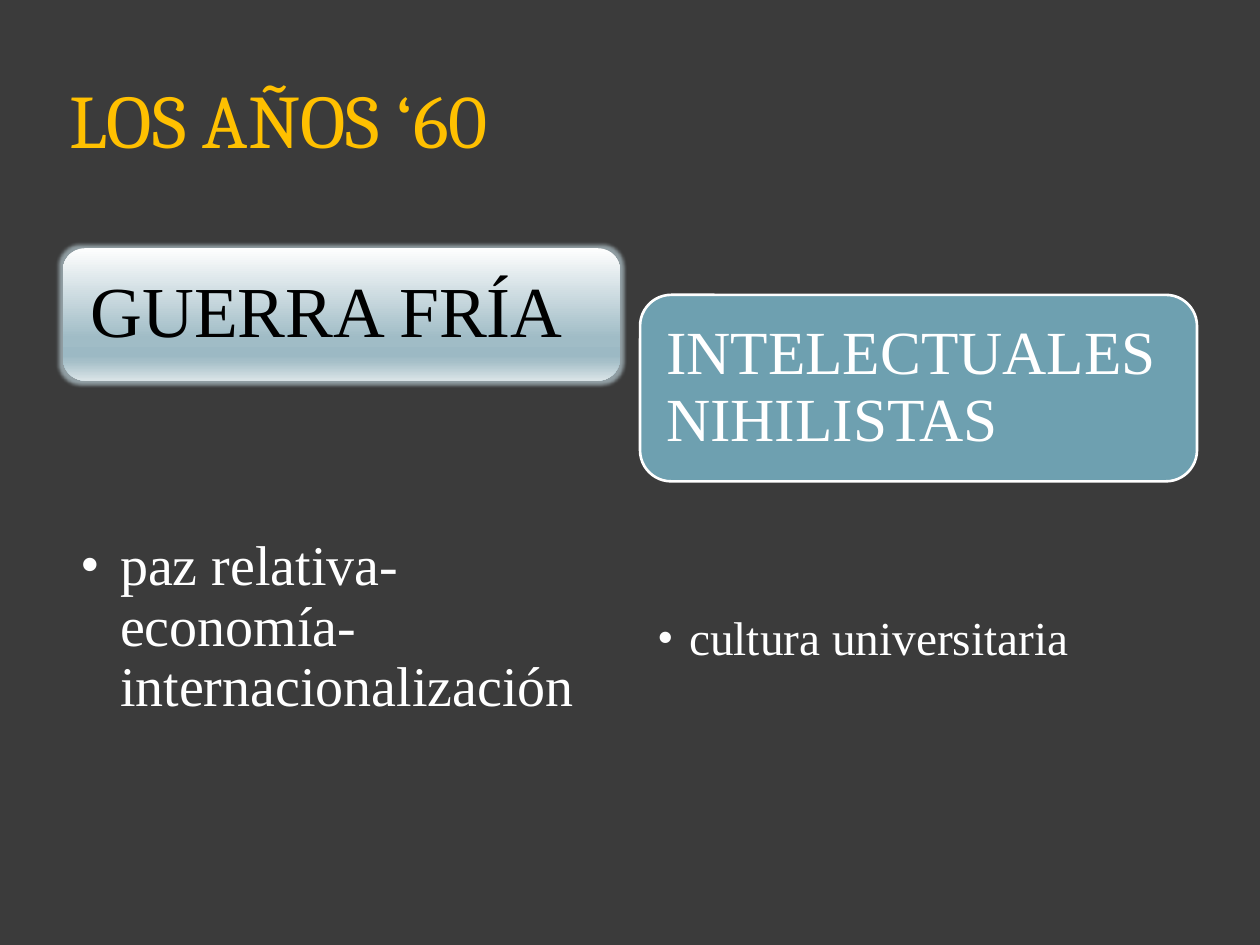
from dataclasses import dataclass

from lxml import etree
from pptx import Presentation
from pptx.dml.color import RGBColor
from pptx.enum.shapes import MSO_SHAPE
from pptx.enum.text import MSO_ANCHOR, PP_ALIGN
from pptx.oxml.ns import qn
from pptx.util import Pt

ROUNDED = MSO_SHAPE.ROUNDED_RECTANGLE
MIDDLE, TOP = MSO_ANCHOR.MIDDLE, MSO_ANCHOR.TOP
LEFT = PP_ALIGN.LEFT

BODY_FONT, TITLE_FONT = "Times New Roman", "Cambria"
WHITE, BLACK, GOLD = "FFFFFF", "000000", "FFC000"
CHARCOAL, TEAL, GLOW = "3B3B3B", "6EA0B0", "B5C8CF"
GLASS_STOPS = [(0, "FEFEFE"), (68, "A0BCC6"), (81, "9CB9C4"),
               (86, "A7C0C9"), (100, "DAE4E7")]
COLUMN_WIDTH = 318.24


@dataclass
class Topic:
    heading: str
    heading_size: float
    heading_color: str
    heading_inset: float
    detail: str
    detail_size: float
    left: float
    top: float
    heading_height: float
    detail_height: float
    detail_insets: tuple[float, float, float, float]
    hanging: float
    glassy: bool


TOPICS = [
    Topic("GUERRA FRÍA", 41, BLACK, 12,
          "paz relativa-economía-internacionalización", 32,
          36, 141.84, 75.6, 190.8, (10.1, 89.7, 23, 4.3), 22.5, True),
    Topic("INTELECTUALES NIHILISTAS", 35, WHITE, 9.7,
          "cultura universitaria", 27,
          365.76, 168.48, 106.56, 105.84, (10.1, 76.4, 19.4, 3.6), 18, False),
]


def rgb(color: str) -> RGBColor:
    return RGBColor.from_string(color)


def add_color(parent, color: str):
    return etree.SubElement(parent, qn("a:srgbClr"), val=color)


def write(frame, text: str, font: str, size: float, color: str,
          insets: tuple, anchor, spacing: float = 1.0):
    """Fill a frame with one formatted paragraph and return it."""
    frame.word_wrap = True
    frame.vertical_anchor = anchor
    (frame.margin_left, frame.margin_top,
     frame.margin_right, frame.margin_bottom) = map(Pt, insets)
    frame.text = text
    paragraph = frame.paragraphs[0]
    paragraph.alignment = LEFT
    paragraph.line_spacing = spacing
    run_font = paragraph.runs[0].font
    run_font.name, run_font.size = font, Pt(size)
    run_font.color.rgb = rgb(color)
    return paragraph


def add_bullet(paragraph, hanging: float) -> None:
    properties = paragraph._p.get_or_add_pPr()
    properties.set("marL", str(Pt(hanging)))
    properties.set("indent", str(-Pt(hanging)))
    etree.SubElement(properties, qn("a:buFont"), typeface=BODY_FONT)
    etree.SubElement(properties, qn("a:buChar"), char="•")


def apply_glass(card) -> None:
    """Vertical five-stop gradient with a soft glow."""
    card.fill.gradient()
    gradient = card._element.spPr.find(qn("a:gradFill"))
    for child in list(gradient):
        gradient.remove(child)
    stops = etree.SubElement(gradient, qn("a:gsLst"))
    for percent, color in GLASS_STOPS:
        stop = etree.SubElement(stops, qn("a:gs"), pos=str(percent * 1000))
        add_color(stop, color)
    etree.SubElement(gradient, qn("a:lin"), ang="5400000", scaled="0")
    card.line.fill.background()
    effects = card._element.spPr.find(qn("a:effectLst"))
    glow = etree.SubElement(effects, qn("a:glow"), rad=str(Pt(4)))
    glow_color = add_color(glow, GLOW)
    etree.SubElement(glow_color, qn("a:alpha"), val="70000")


def add_topic(slide, topic: Topic) -> None:
    # Heading card
    card = slide.shapes.add_shape(
        ROUNDED, Pt(topic.left), Pt(topic.top),
        Pt(COLUMN_WIDTH), Pt(topic.heading_height))
    card.shadow.inherit = False
    if topic.glassy:
        apply_glass(card)
    else:
        card.fill.solid()
        card.fill.fore_color.rgb = rgb(TEAL)
        card.line.color.rgb = rgb(WHITE)
        card.line.width = Pt(1.5)
    write(card.text_frame, topic.heading, BODY_FONT, topic.heading_size,
          topic.heading_color, (topic.heading_inset,) * 4, MIDDLE, 0.9)

    # Bulleted detail directly below the card
    detail = slide.shapes.add_textbox(
        Pt(topic.left), Pt(topic.top + topic.heading_height),
        Pt(COLUMN_WIDTH), Pt(topic.detail_height))
    paragraph = write(detail.text_frame, topic.detail, BODY_FONT,
                      topic.detail_size, WHITE, topic.detail_insets, TOP, 0.9)
    add_bullet(paragraph, topic.hanging)


def main() -> None:
    deck = Presentation()
    deck.slide_width, deck.slide_height = Pt(720), Pt(540)
    slide = deck.slides.add_slide(deck.slide_layouts[5])
    slide.background.fill.solid()
    slide.background.fill.fore_color.rgb = rgb(CHARCOAL)

    # Title
    title = slide.shapes.title
    title.left, title.top = Pt(36), Pt(22.6)
    title.width, title.height = Pt(648), Pt(90)
    write(title.text_frame, "LOS AÑOS ‘60", TITLE_FONT, 43.2, GOLD,
          (3.6,) * 4, MIDDLE)

    # Topic columns
    for topic in TOPICS:
        add_topic(slide, topic)

    deck.save("out.pptx")


if __name__ == "__main__":
    main()
